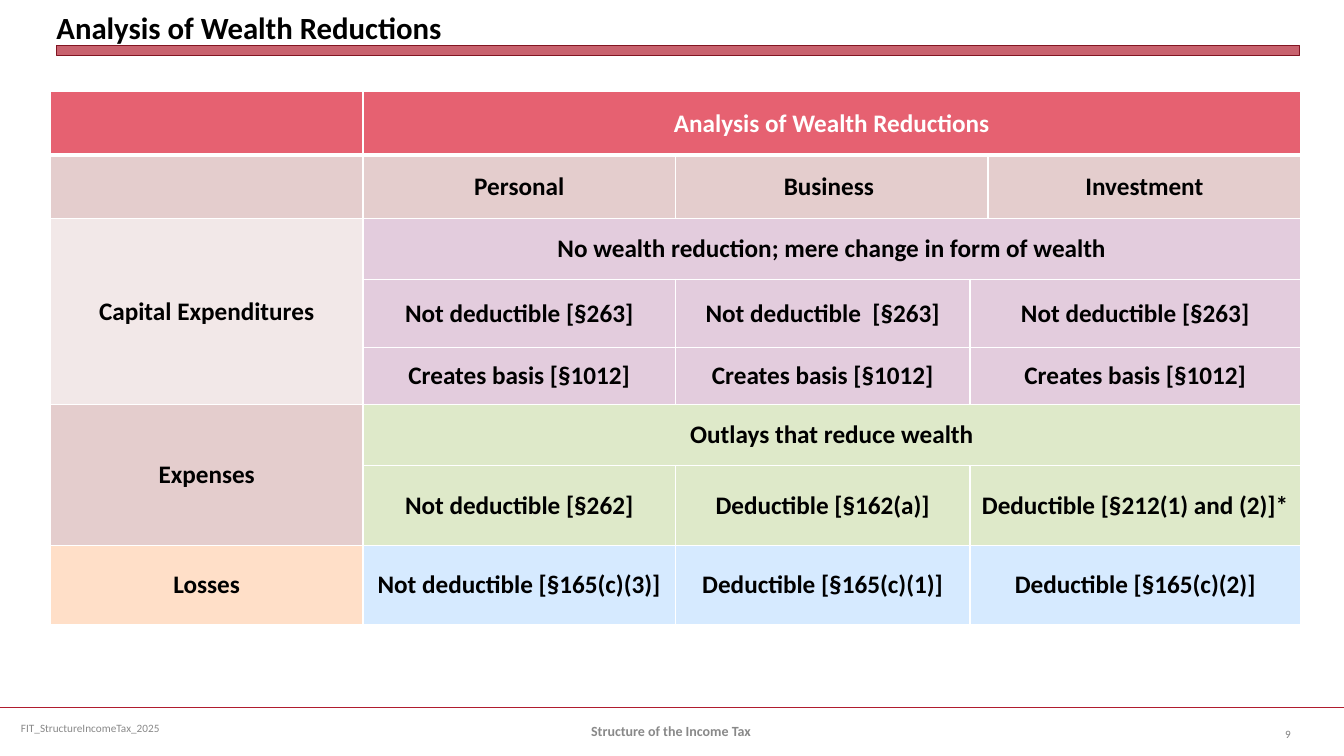
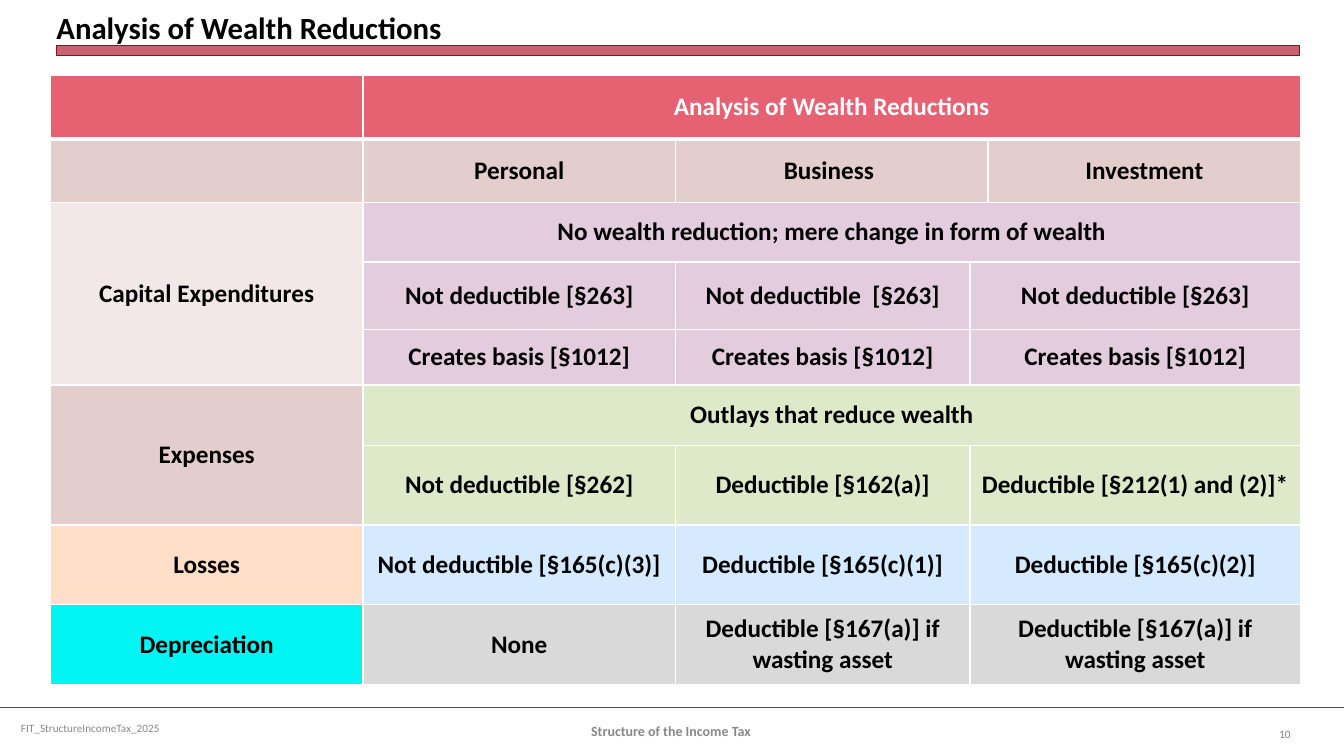
from lxml import etree
from pptx import Presentation
from pptx import util as u
from pptx.dml.color import RGBColor
from pptx.enum import shapes, text
from pptx.oxml import ns

FONT = "Calibri"
BLACK, WHITE = "000000", "FFFFFF"
RED, DARK_RED = "B01C2E", "821522"
FOOTER_GRAY, NUMBER_GRAY = "898989", "808080"
HEADER, ROSE, PALE_ROSE = "E66171", "E4CDCD", "F2E8E8"
LILAC, GREEN, BLUE = "E3CCDD", "DEE9C9", "D6EAFF"
PEACH, CYAN, GRAY = "FFDFC8", "00F5F3", "D9D9D9"
LEFT, CENTER, RIGHT = text.PP_ALIGN.LEFT, text.PP_ALIGN.CENTER, text.PP_ALIGN.RIGHT

TITLE = "Analysis of Wealth Reductions"
COLUMNS = (3.1, 3.1, 2.92, 0.18, 3.1)
FULL, HEADINGS, ENTRIES = (4,), (1, 2, 1), (1, 1, 2)

# Each row: label, label fill, label rows, entry fill, entry spans, entries
ROWS = [
    ("", HEADER, 1, HEADER, FULL, [TITLE]),
    ("", ROSE, 1, ROSE, HEADINGS, ["Personal", "Business ", "Investment"]),
    ("Capital Expenditures", PALE_ROSE, 3, LILAC, FULL,
     ["No wealth reduction; mere change in form of wealth"]),
    (None, PALE_ROSE, 1, LILAC, ENTRIES,
     ["Not deductible [§263]", "Not deductible  [§263]", "Not deductible [§263]"]),
    (None, PALE_ROSE, 1, LILAC, ENTRIES, ["Creates basis [§1012]"] * 3),
    ("Expenses", ROSE, 2, GREEN, FULL, ["Outlays that reduce wealth"]),
    (None, ROSE, 1, GREEN, ENTRIES,
     ["Not deductible [§262]", "Deductible [§162(a)]", "Deductible [§212(1) and (2)]*"]),
    ("Losses", PEACH, 1, BLUE, ENTRIES,
     ["Not deductible [§165(c)(3)]", "Deductible [§165(c)(1)]", "Deductible [§165(c)(2)]"]),
]
DEPRECIATION = ("Depreciation", CYAN, 1, GRAY, ENTRIES,
                ["None"] + ["Deductible [§167(a)] if wasting asset"] * 2)


def rgb(value):
    return RGBColor.from_string(value)


def inches(box):
    return [u.Inches(length) for length in box]


def write(frame, words, size, color, bold=False, align=LEFT):
    frame.text = words
    paragraph = frame.paragraphs[0]
    paragraph.alignment = align
    for run in paragraph.runs:
        run.font.name, run.font.size, run.font.bold = FONT, u.Pt(size), bold
        run.font.color.rgb = rgb(color)


def add_label(slide, box, words, size, color, bold=False, align=LEFT):
    frame = slide.shapes.add_textbox(*inches(box)).text_frame
    frame.word_wrap = True
    frame.vertical_anchor = text.MSO_ANCHOR.MIDDLE
    write(frame, words, size, color, bold, align)
    return frame


def add_title_band(slide, box):
    left, top, width, height = box
    title = add_label(slide, (left, top, width, height - 0.1), TITLE, 22, BLACK, True)
    title.vertical_anchor = text.MSO_ANCHOR.BOTTOM
    title.margin_left = title.margin_top = title.margin_right = title.margin_bottom = 0
    bar = slide.shapes.add_shape(shapes.MSO_SHAPE.RECTANGLE,
                                 *inches((left, top + height - 0.1, width, 0.1)))
    bar.shadow.inherit = False
    bar.fill.solid()
    bar.fill.fore_color.rgb = rgb(RED)
    tint = bar.fill._xPr.find(".//" + ns.qn("a:srgbClr"))
    etree.SubElement(tint, ns.qn("a:alpha"), val="69000")
    bar.line.color.rgb = rgb(DARK_RED)
    bar.line.width = u.Pt(0)


def add_footer(slide, box, number):
    left, top, width, _ = box
    rule = slide.shapes.add_connector(shapes.MSO_CONNECTOR.STRAIGHT,
                                      *inches((left, top, left + width, top)))
    rule.line.color.rgb = rgb(RED)
    rule.line.width = u.Pt(1.25)
    etree.SubElement(rule._element.spPr, ns.qn("a:effectLst"))
    add_label(slide, (left + 0.11, top, 3.44, 0.4),
              "FIT_StructureIncomeTax_2025", 8, FOOTER_GRAY)
    add_label(slide, (left + 4.56, top + 0.03, 4.22, 0.4),
              "Structure of the Income Tax ", 10, FOOTER_GRAY, True, CENTER)
    add_label(slide, (left + 12.23, top + 0.06, 0.67, 0.4),
              str(number), 8, NUMBER_GRAY, align=RIGHT)


def style_cell(cell, fill, below, above):
    cell.fill.solid()
    cell.fill.fore_color.rgb = rgb(fill)
    cell.vertical_anchor = text.MSO_ANCHOR.MIDDLE
    properties = cell._tc.get_or_add_tcPr()
    for place, (side, points) in enumerate((("L", 1), ("R", 1), ("T", above), ("B", below))):
        edge = etree.Element(ns.qn("a:ln" + side), w=str(u.Pt(points)))
        paint = etree.SubElement(edge, ns.qn("a:solidFill"))
        etree.SubElement(paint, ns.qn("a:srgbClr"), val=WHITE)
        properties.insert(place, edge)


def add_analysis_table(slide, box, rows, heights):
    table = slide.shapes.add_table(len(rows), len(COLUMNS), *inches(box)).table
    for column, width in zip(table.columns, COLUMNS):
        column.width = u.Inches(width)
    for row, height in zip(table.rows, heights):
        row.height = u.Inches(height)
    for r, (label, label_fill, label_rows, fill, spans, entries) in enumerate(rows):
        for c in range(len(COLUMNS)):
            style_cell(table.cell(r, c), fill if c else label_fill,
                       below=3 if r == 0 else 1, above=3 if r == 1 else 1)
        color = WHITE if r == 0 else BLACK
        if label is not None:
            write(table.cell(r, 0).text_frame, label, 18, color, True, CENTER)
            if label_rows > 1:
                table.cell(r, 0).merge(table.cell(r + label_rows - 1, 0))
        c = 1
        for span, entry in zip(spans, entries):
            write(table.cell(r, c).text_frame, entry, 18, color, True, CENTER)
            if span > 1:
                table.cell(r, c).merge(table.cell(r, c + span - 1))
            c += span


def add_analysis_slide(deck, number, top, rows, heights):
    slide = deck.slides.add_slide(deck.slide_layouts[6])
    add_footer(slide, (0, 7.02, 13.33, 0.48), number)
    add_title_band(slide, (0.56, 0.05, 12.33, 0.5))
    add_analysis_table(slide, (0.5, top, sum(COLUMNS), sum(heights)), rows, heights)


def main():
    deck = Presentation()
    deck.slide_width, deck.slide_height = u.Inches(13.33), u.Inches(7.5)
    add_analysis_slide(deck, 9, 0.91, ROWS,
                       (0.63, 0.63, 0.6, 0.68, 0.56, 0.61, 0.79, 0.79))
    add_analysis_slide(deck, 10, 0.75, ROWS + [DEPRECIATION],
                       (0.63, 0.63, 0.59, 0.67, 0.55, 0.6, 0.79, 0.79, 0.79))
    deck.save("out.pptx")


if __name__ == "__main__":
    main()
